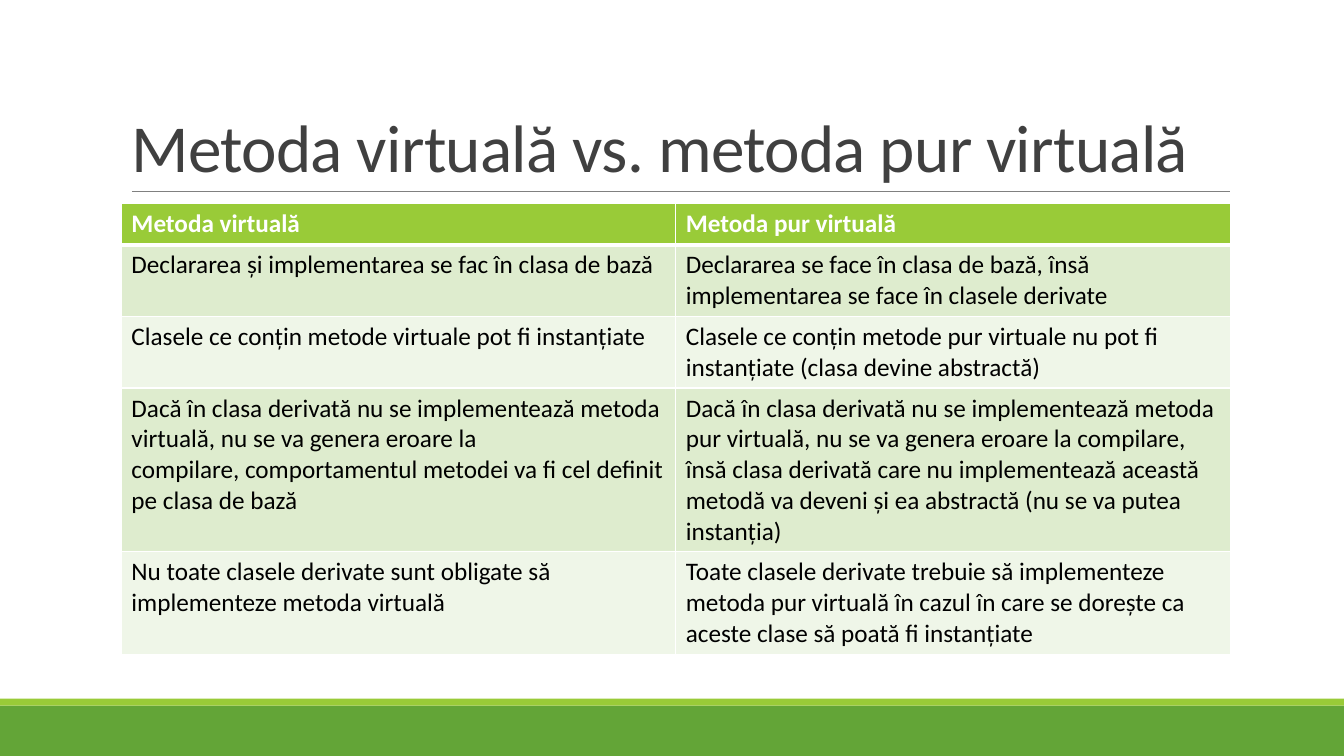
from lxml.etree import SubElement
from pptx import Presentation
from pptx.dml.color import RGBColor
from pptx.enum.shapes import MSO_CONNECTOR, MSO_SHAPE
from pptx.enum.text import MSO_ANCHOR, MSO_AUTO_SIZE, PP_ALIGN
from pptx.oxml.ns import qn
from pptx.util import Pt

SLIDE_WIDTH, SLIDE_HEIGHT = 960, 540
FONT = "Calibri"
WHITE, LIME, GREEN = "FFFFFF", "99CB38", "63A537"
BANDS = ("DEECCE", "EFF6E8")
HEADINGS = ("Metoda virtuală", "Metoda pur virtuală")
COMPARISONS = (
    (2, "Declararea și implementarea se fac în clasa de bază",
     "Declararea se face în clasa de bază, însă implementarea se face în clasele derivate"),
    (2, "Clasele ce conțin metode virtuale pot fi instanțiate",
     "Clasele ce conțin metode pur virtuale nu pot fi instanțiate (clasa devine abstractă)"),
    (5, "Dacă în clasa derivată nu se implementează\u00a0metoda virtuală, nu se va genera "
        "eroare la compilare,\u00a0comportamentul metodei va fi cel definit pe clasa de bază",
     "Dacă în clasa derivată nu se implementează metoda pur virtuală, nu se va genera eroare "
     "la compilare, însă clasa derivată care nu implementează această metodă va deveni și ea "
     "abstractă (nu se va putea instanția)"),
    (3, "Nu toate clasele derivate sunt obligate să implementeze metoda virtuală",
     "Toate clasele derivate trebuie să implementeze metoda pur virtuală în cazul în care se "
     "dorește ca aceste clase să poată fi instanțiate"),
)


def color(hex_code):
    """Turn a hex string into a colour."""
    return RGBColor.from_string(hex_code)


def paint(target, hex_code):
    """Give a shape or cell a solid fill."""
    target.fill.solid()
    target.fill.fore_color.rgb = color(hex_code)


def style_font(font, size, hex_code, bold=False):
    """Set the face, size, colour and weight of a font."""
    font.name, font.size, font.bold = FONT, Pt(size), bold
    font.color.rgb = color(hex_code)


def add_footer(slide, left, top, width, height):
    """Draw the green footer with its lime strip on top."""
    strip_height = 5
    for offset, depth, hex_code in ((strip_height, height - strip_height, GREEN),
                                    (0, strip_height, LIME)):
        band = slide.shapes.add_shape(MSO_SHAPE.RECTANGLE, Pt(left), Pt(top + offset),
                                      Pt(width), Pt(depth))
        band.shadow.inherit = False
        paint(band, hex_code)
        band.line.fill.background()


def add_heading(slide, left, top, width, height):
    """Place the title and the rule under it."""
    title = slide.shapes.title
    title.left, title.top, title.width, title.height = map(Pt, (left, top, width, height))
    frame = title.text_frame
    frame.text = "Metoda virtuală vs. metoda pur virtuală"
    frame.word_wrap = True
    frame.auto_size = MSO_AUTO_SIZE.NONE
    frame.vertical_anchor = MSO_ANCHOR.BOTTOM
    paragraph = frame.paragraphs[0]
    paragraph.alignment = PP_ALIGN.LEFT
    paragraph.line_spacing = 0.85
    style_font(paragraph.font, 48, "404040")
    paragraph.runs[0].font._element.set("spc", "-50")

    bottom = Pt(top + height)
    rule = slide.shapes.add_connector(MSO_CONNECTOR.STRAIGHT, Pt(left + 7.6), bottom,
                                      Pt(left + width), bottom)
    rule.line.color.rgb = color("808080")
    rule.line.width = Pt(0.5)
    SubElement(rule._element.spPr, qn("a:effectLst"))


def set_borders(cell, widths):
    """Draw white borders from a mapping of side to width."""
    properties = cell._tc.get_or_add_tcPr()
    for position, (side, width) in enumerate(widths.items()):
        border = SubElement(properties, qn(f"a:ln{side}"), w=str(Pt(width)))
        properties.insert(position, border)
        fill = SubElement(border, qn("a:solidFill"))
        SubElement(fill, qn("a:srgbClr"), val=WHITE)


def add_comparison(slide, left, top, width):
    """Place the two-column table, with row heights from line counts."""
    rows = ((1, *HEADINGS), *COMPARISONS)
    heights = [7.2 + 21.9 * lines for lines, *_ in rows]
    table = slide.shapes.add_table(len(rows), len(HEADINGS), Pt(left), Pt(top),
                                   Pt(width), Pt(sum(heights))).table
    for index, (_, *texts) in enumerate(rows):
        table.rows[index].height = Pt(heights[index])
        is_header = index == 0
        for column, text in enumerate(texts):
            cell = table.cell(index, column)
            cell.text = text
            paint(cell, LIME if is_header else BANDS[(index - 1) % 2])
            style_font(cell.text_frame.paragraphs[0].font, 18,
                       WHITE if is_header else "000000", is_header)
            set_borders(cell, {"L": 1, "R": 1, "T": 3 if index == 1 else 1,
                               "B": 3 if is_header else 1})


def build_slide(presentation):
    """Build the comparison slide on the title-only layout."""
    slide = presentation.slides.add_slide(presentation.slide_layouts[5])
    add_footer(slide, 0, 499, SLIDE_WIDTH, 41)
    add_heading(slide, 86.7, 22.5, 792, 114.2)
    add_comparison(slide, 86.7, 145.6, 792)


presentation = Presentation()
presentation.slide_width, presentation.slide_height = Pt(SLIDE_WIDTH), Pt(SLIDE_HEIGHT)
build_slide(presentation)
presentation.save("out.pptx")
